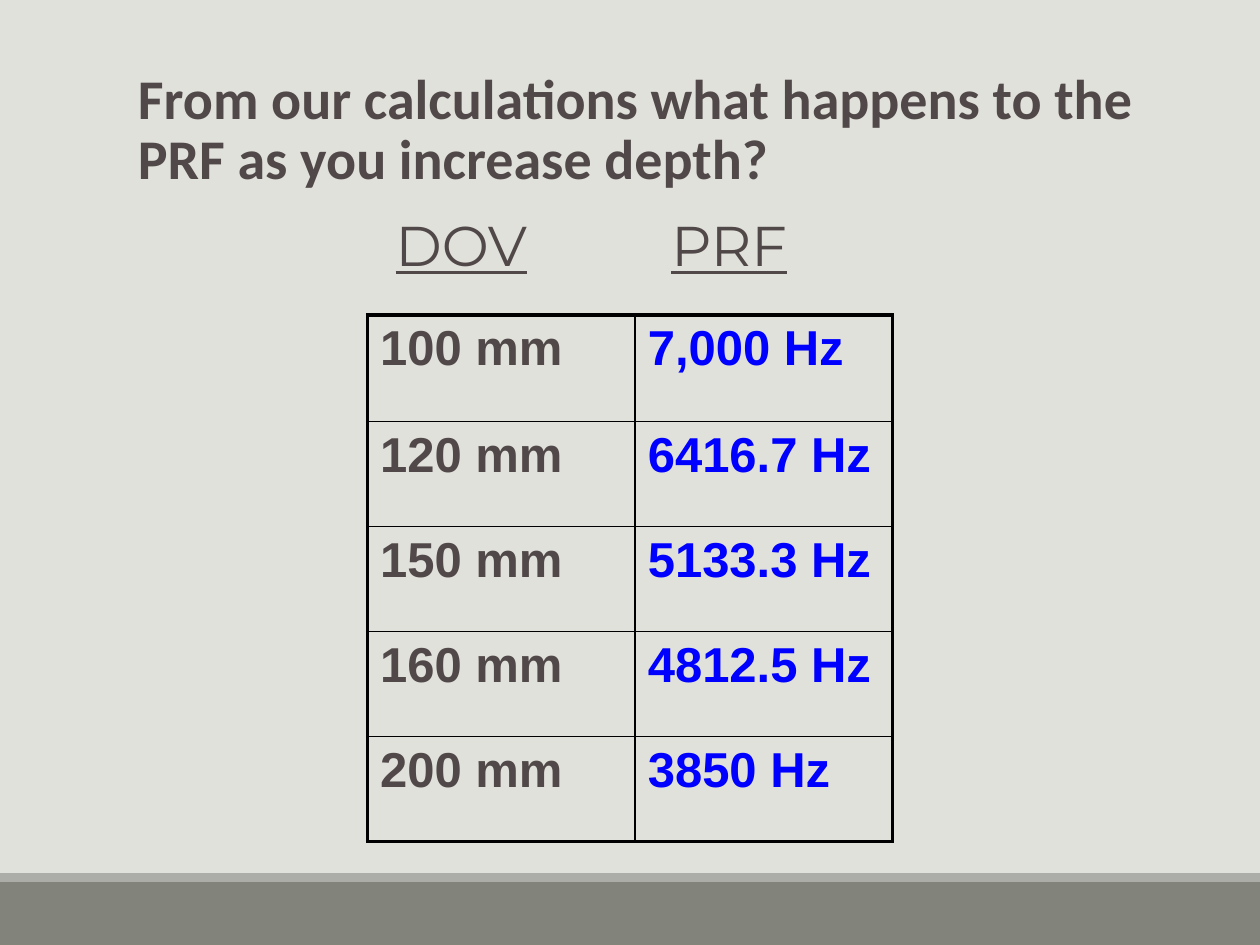
from lxml import etree
from pptx import Presentation
from pptx.dml.color import RGBColor
from pptx.enum import shapes, text
from pptx.oxml import ns
from pptx.util import Pt

BROWN, BLUE, BLACK = "514949", "0000FF", "000000"
READINGS = [
    ("100 mm", "7,000 Hz"),
    ("120 mm", "6416.7 Hz"),
    ("150 mm", "5133.3 Hz"),
    ("160 mm", "4812.5 Hz"),
    ("200 mm", "3850 Hz"),
]


def color(hex_string):
    return RGBColor.from_string(hex_string)


class SlideBuilder:
    def __init__(self, slide, ink):
        self.slide = slide
        self.ink = ink

    def background(self, fill):
        self.slide.background.fill.solid()
        self.slide.background.fill.fore_color.rgb = color(fill)

    def style(self, paragraph, font_name, size, ink=None, bold=False, underline=False):
        paragraph.alignment = text.PP_ALIGN.LEFT
        for run in paragraph.runs:
            font = run.font
            font.name, font.size = font_name, Pt(size)
            font.bold, font.underline = bold, underline
            font.color.rgb = color(ink or self.ink)

    def band(self, top, height, fill):
        """Draw a plain strip across the full slide width."""
        shape = self.slide.shapes.add_shape(
            shapes.MSO_SHAPE.RECTANGLE, 0, Pt(top), Pt(720), Pt(height))
        shape.shadow.inherit = False
        shape.fill.solid()
        shape.fill.fore_color.rgb = color(fill)
        shape.line.fill.background()

    def title(self, content, left, top, width, height):
        shape = self.slide.shapes.add_shape(
            shapes.MSO_SHAPE.ROUNDED_RECTANGLE, Pt(left), Pt(top), Pt(width), Pt(height))
        shape.adjustments[0] = 0.22
        shape.shadow.inherit = False
        shape.fill.background()
        shape.line.fill.background()
        frame = shape.text_frame
        frame.word_wrap = True
        frame.vertical_anchor = text.MSO_ANCHOR.MIDDLE
        frame.text = content
        paragraph = frame.paragraphs[0]
        paragraph.line_spacing = 0.9
        self.style(paragraph, "Calibri", 32, bold=True)

    def column_headings(self, headings, left, top, width, height, tab):
        """Write underlined headings on one line, parted by a tab stop."""
        shape = self.slide.shapes.add_textbox(Pt(left), Pt(top), Pt(width), Pt(height))
        frame = shape.text_frame
        frame.word_wrap = True
        frame.text = "\t".join(headings)
        paragraph = frame.paragraphs[0]
        properties = paragraph._p.get_or_add_pPr()
        tabs = etree.SubElement(properties, ns.qn("a:tabLst"))
        etree.SubElement(tabs, ns.qn("a:tab"), pos=str(Pt(tab)), algn="l")
        self.style(paragraph, "Montserrat", 32, underline=True)

    def borders(self, cell, widths):
        """Set cell borders from widths in the order left, right, top, bottom."""
        properties = cell._tc.get_or_add_tcPr()
        for index, (side, width) in enumerate(zip("LRTB", widths)):
            line = etree.Element(ns.qn(f"a:ln{side}"), w=str(Pt(width)))
            fill = etree.SubElement(line, ns.qn("a:solidFill"))
            etree.SubElement(fill, ns.qn("a:srgbClr"), val=BLACK)
            properties.insert(index, line)

    def table(self, rows, left, top, column_widths, row_heights, inks):
        frame = self.slide.shapes.add_table(
            len(rows), len(column_widths), Pt(left), Pt(top),
            Pt(sum(column_widths)), Pt(sum(row_heights)))
        table = frame.table
        table.first_row = table.horz_banding = False
        for column, width in zip(table.columns, column_widths):
            column.width = Pt(width)
        last_row, last_column = len(rows) - 1, len(column_widths) - 1
        for r, (values, height) in enumerate(zip(rows, row_heights)):
            table.rows[r].height = Pt(height)
            for c, (value, ink) in enumerate(zip(values, inks)):
                cell = table.cell(r, c)
                cell.fill.background()
                cell.text_frame.text = value
                self.style(cell.text_frame.paragraphs[0], "Arial", 28, ink, bold=True)
                outer = (c == 0, c == last_column, r == 0, r == last_row)
                self.borders(cell, [2.25 if edge else 1 for edge in outer])


def main():
    presentation = Presentation()
    presentation.slide_width, presentation.slide_height = Pt(720), Pt(540)
    slide = presentation.slides.add_slide(presentation.slide_layouts[6])
    builder = SlideBuilder(slide, BROWN)
    builder.background("E1E1DB")
    builder.band(504, 36, "82847C")
    builder.band(499, 5, "ACADA8")
    builder.title("From our calculations what happens to the PRF as you increase depth?",
                  66, 30, 612, 90)
    builder.table(READINGS, 210, 180, [153, 147], [61] + [60] * 4, [BROWN, BLUE])
    builder.column_headings(["DOV", "PRF"], 219, 117, 306, 84, tab=157.5)
    presentation.save("out.pptx")


if __name__ == "__main__":
    main()
